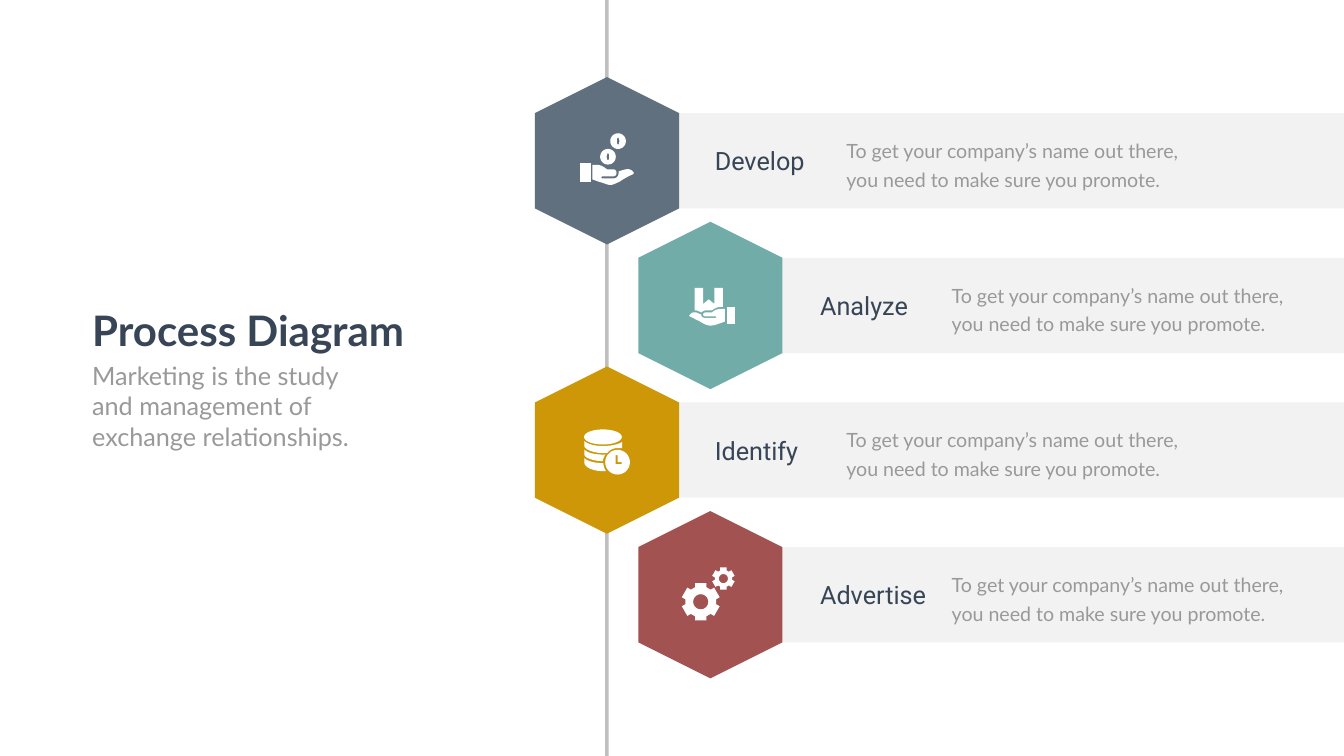
from math import cos, pi, sin

from lxml import etree
from pptx import Presentation
from pptx.dml.color import RGBColor
from pptx.enum.shapes import MSO_CONNECTOR as CONNECTOR, MSO_SHAPE as SHAPE
from pptx.enum.text import MSO_AUTO_SIZE as AUTO_SIZE
from pptx.oxml.ns import qn
from pptx.util import Inches, Pt

PAPER = RGBColor(0xFE, 0xFF, 0xFE)
WHITE = RGBColor(0xFF, 0xFF, 0xFF)
GRAY = RGBColor(0x80, 0x80, 0x80)
TEXT_GRAY = RGBColor(0x99, 0x99, 0x99)
NAVY = RGBColor(0x37, 0x45, 0x56)
SLATE = RGBColor(0x61, 0x70, 0x7F)
TEAL = RGBColor(0x72, 0xAC, 0xA9)
GOLD = RGBColor(0xCD, 0x97, 0x08)
BRICK = RGBColor(0xA2, 0x52, 0x50)

WIDTH, HEIGHT = 26.66, 15
HEX_W, HEX_H = 3.32, 2.86
BAR_H = 1.89
FIRST_Y, STEP_Y = 3.19, 2.87

TITLE = "Process Diagram"
SUBTITLE = "Marketing is the study and management of exchange relationships."
PROMOTE = "To get your company’s name out there, you need to make sure you promote."
STEPS = [("Develop", 2.2, SLATE), ("Analyze", 2.2, TEAL),
         ("Identify", 2.2, GOLD), ("Advertise", 2.46, BRICK)]
COLUMNS = [(12.04, 14.08, 16.69), (14.09, 16.17, 18.78)]


def bezier(start, curve, n=6):
    x0, y0 = start
    x1, y1, x2, y2, x3, y3 = curve
    for i in range(1, n + 1):
        t = i / n
        u = 1 - t
        a, b, c, d = u ** 3, 3 * u * u * t, 3 * u * t * t, t ** 3
        yield a * x0 + b * x1 + c * x2 + d * x3, a * y0 + b * y1 + c * y2 + d * y3


def outline(*parts):
    points = []
    for part in parts:
        if len(part) == 2:
            points.append(part)
        else:
            points.extend(bezier(points[-1], part))
    return points


def ellipse(cx, cy, rx, ry, n=32):
    return [(cx + rx * cos(2 * pi * i / n), cy + ry * sin(2 * pi * i / n))
            for i in range(n)]


def gear(cx, cy, outer, inner, half, hole, teeth=6):
    points = []
    for k in range(teeth):
        a = 2 * pi * k / teeth
        for x, y in [(-half, -inner), (-half, -outer), (half, -outer), (half, -inner)]:
            points.append((cx + x * cos(a) - y * sin(a), cy + x * sin(a) + y * cos(a)))
    return [points, ellipse(cx, cy, hole, hole)]


def coin(cx, cy):
    return [ellipse(cx, cy, 0.155, 0.155), ellipse(cx, cy, 0.025, 0.07)]


def box(left, top, right, bottom):
    return [[(left, top), (right, top), (right, bottom), (left, bottom)]]


COIN_HAND = outline(
    (12.57, 3.42), (12.52, 3.36, 12.48, 3.35, 12.41, 3.36), (12.27, 3.4),
    (12.28, 3.47, 12.25, 3.54, 12.17, 3.54), (11.95, 3.54),
    (11.92, 3.54, 11.92, 3.5, 11.95, 3.5), (12.17, 3.5),
    (12.25, 3.5, 12.25, 3.36, 12.17, 3.36), (12.04, 3.36),
    (12.01, 3.34, 11.94, 3.27, 11.84, 3.27), (11.75, 3.27), (11.75, 3.56),
    (11.84, 3.59, 11.88, 3.61, 11.93, 3.62), (12.02, 3.65, 12.06, 3.67, 12.11, 3.67),
    (12.16, 3.67, 12.21, 3.64, 12.3, 3.6), (12.35, 3.56, 12.44, 3.51, 12.57, 3.45))
PARCEL = outline(
    (14.34, 5.71), (14.17, 5.71), (14.17, 6.03), (14.06, 5.94), (13.95, 6.03),
    (13.95, 5.71), (13.78, 5.71), (13.78, 6.16), (13.82, 6.16), (13.92, 6.2),
    (13.93, 6.18, 13.96, 6.16, 13.99, 6.16), (14.12, 6.16),
    (14.15, 6.14, 14.21, 6.09, 14.29, 6.09), (14.34, 6.09))
PARCEL_HAND = outline(
    (14.38, 6.13), (14.29, 6.13), (14.22, 6.13, 14.17, 6.16, 14.12, 6.2), (13.99, 6.2),
    (13.94, 6.2, 13.93, 6.28, 13.99, 6.28), (14.19, 6.28),
    (14.22, 6.28, 14.22, 6.31, 14.19, 6.31), (13.99, 6.31),
    (13.94, 6.31, 13.91, 6.28, 13.91, 6.24), (13.81, 6.2),
    (13.75, 6.19, 13.71, 6.2, 13.67, 6.27), (13.75, 6.31, 13.82, 6.35, 13.87, 6.37),
    (13.98, 6.44, 14.03, 6.46, 14.09, 6.46), (14.15, 6.46, 14.19, 6.45, 14.38, 6.38))
MIDDLE_DISC = outline(
    (11.96, 8.99), (12.04, 8.99), (12.09, 8.93, 12.16, 8.89, 12.25, 8.89), (12.34, 8.89),
    (12.34, 8.77), (12.26, 8.82, 12.11, 8.85, 11.96, 8.85),
    (11.81, 8.85, 11.66, 8.82, 11.59, 8.75), (11.59, 8.85),
    (11.59, 8.91, 11.76, 8.99, 11.96, 8.99))
LOWER_DISC = outline(
    (11.96, 9.15), (11.96, 9.11, 11.98, 9.06, 12.01, 9.02), (11.96, 9.02),
    (11.81, 9.02, 11.65, 8.99, 11.59, 8.92), (11.59, 9.02),
    (11.59, 9.08, 11.76, 9.15, 11.96, 9.15))
BASE_DISC = outline(
    (11.97, 9.19), (11.82, 9.19, 11.66, 9.16, 11.59, 9.09), (11.59, 9.18),
    (11.59, 9.27, 11.76, 9.35, 11.97, 9.35), (12.02, 9.35),
    (11.99, 9.3, 11.97, 9.25, 11.97, 9.19))
CLOCK_HANDS = [(12.21, 9.03), (12.25, 9.03), (12.25, 9.17), (12.33, 9.17),
               (12.33, 9.21), (12.21, 9.21)]
ICONS = [
    [box(11.5, 3.23, 11.73, 3.61), [COIN_HAND], coin(12.26, 2.8), coin(12.06, 3.11)],
    [box(14.42, 6.09, 14.57, 6.43), [PARCEL], [PARCEL_HAND]],
    [[LOWER_DISC], [MIDDLE_DISC], [ellipse(11.96, 8.67, 0.375, 0.15)], [BASE_DISC],
     [ellipse(12.25, 9.17, 0.245, 0.245), CLOCK_HANDS]],
    [gear(13.9, 11.94, 0.37, 0.29, 0.11, 0.15),
     gear(14.35, 11.48, 0.22, 0.16, 0.065, 0.09)],
]


def set_alpha(element, percent):
    color = next(element.iter(qn("a:srgbClr")))
    etree.SubElement(color, qn("a:alpha")).set("val", str(percent * 1000))


def paint(sp, color):
    sp.shadow.inherit = False
    sp.fill.solid()
    sp.fill.fore_color.rgb = color
    sp.line.fill.background()


def add_block(shapes, kind, left, top, width, height, color):
    sp = shapes.add_shape(kind, Inches(left), Inches(top), Inches(width), Inches(height))
    paint(sp, color)
    return sp


def add_text(shapes, text, left, top, width, height, size, color,
             font="Lato", bold=False, spacing=None):
    sp = shapes.add_textbox(Inches(left), Inches(top), Inches(width), Inches(height))
    tf = sp.text_frame
    tf.word_wrap = True
    tf.auto_size = AUTO_SIZE.SHAPE_TO_FIT_TEXT
    p = tf.paragraphs[0]
    if spacing:
        p.line_spacing = Pt(spacing)
    r = p.add_run()
    r.text = text
    r.font.name, r.font.size, r.font.bold = font, Pt(size), bold
    r.font.color.rgb = color


def add_outline(shapes, contours):
    builder = None
    for contour in contours:
        points = [(Inches(x), Inches(y)) for x, y in contour]
        if builder is None:
            builder = shapes.build_freeform(*points[0])
        else:
            builder.move_to(*points[0])
        builder.add_line_segments(points[1:], close=True)
    paint(builder.convert_to_shape(), WHITE)


prs = Presentation()
prs.slide_width, prs.slide_height = Inches(WIDTH), Inches(HEIGHT)
s = prs.slides.add_slide(prs.slide_layouts[6])
s.background.fill.solid()
s.background.fill.fore_color.rgb = PAPER

rows = [(*step, *COLUMNS[i % 2], FIRST_Y + i * STEP_Y) for i, step in enumerate(STEPS)]

for *_, cx, label_x, detail_x, cy in rows:
    bar = add_block(s.shapes, SHAPE.RECTANGLE, cx, cy - BAR_H / 2, WIDTH - cx, BAR_H, GRAY)
    set_alpha(bar.fill._xPr, 10)

axis_x = Inches(COLUMNS[0][0])
axis = s.shapes.add_connector(CONNECTOR.STRAIGHT, axis_x, 0, axis_x, Inches(HEIGHT))
axis.line.width = Pt(5)
axis.line.color.rgb = GRAY
set_alpha(axis.line._ln, 50)
etree.SubElement(axis._element.spPr, qn("a:effectLst"))

for label, label_w, color, cx, label_x, detail_x, cy in rows:
    hexagon = add_block(s.shapes, SHAPE.HEXAGON, cx - HEX_W / 2, cy - HEX_H / 2,
                        HEX_W, HEX_H, color)
    hexagon.rotation = 90

for label, label_w, color, cx, label_x, detail_x, cy in rows:
    group = s.shapes.add_group_shape().shapes
    add_text(group, PROMOTE, detail_x, cy - 0.58, 7.08, 1.19, 28, TEXT_GRAY, spacing=40.8)
    add_text(group, label, label_x, cy - 0.35, label_w, 0.71, 36, NAVY, font="Roboto")

for icon in ICONS:
    group = s.shapes.add_group_shape().shapes
    for contours in icon:
        add_outline(group, contours)

heading = s.shapes.add_group_shape().shapes
add_text(heading, TITLE, 1.73, 5.99, 7.15, 1.11, 60, NAVY, bold=True)
add_text(heading, SUBTITLE, 1.73, 7.1, 5.96, 1.92, 36, TEXT_GRAY)

prs.save("out.pptx")
